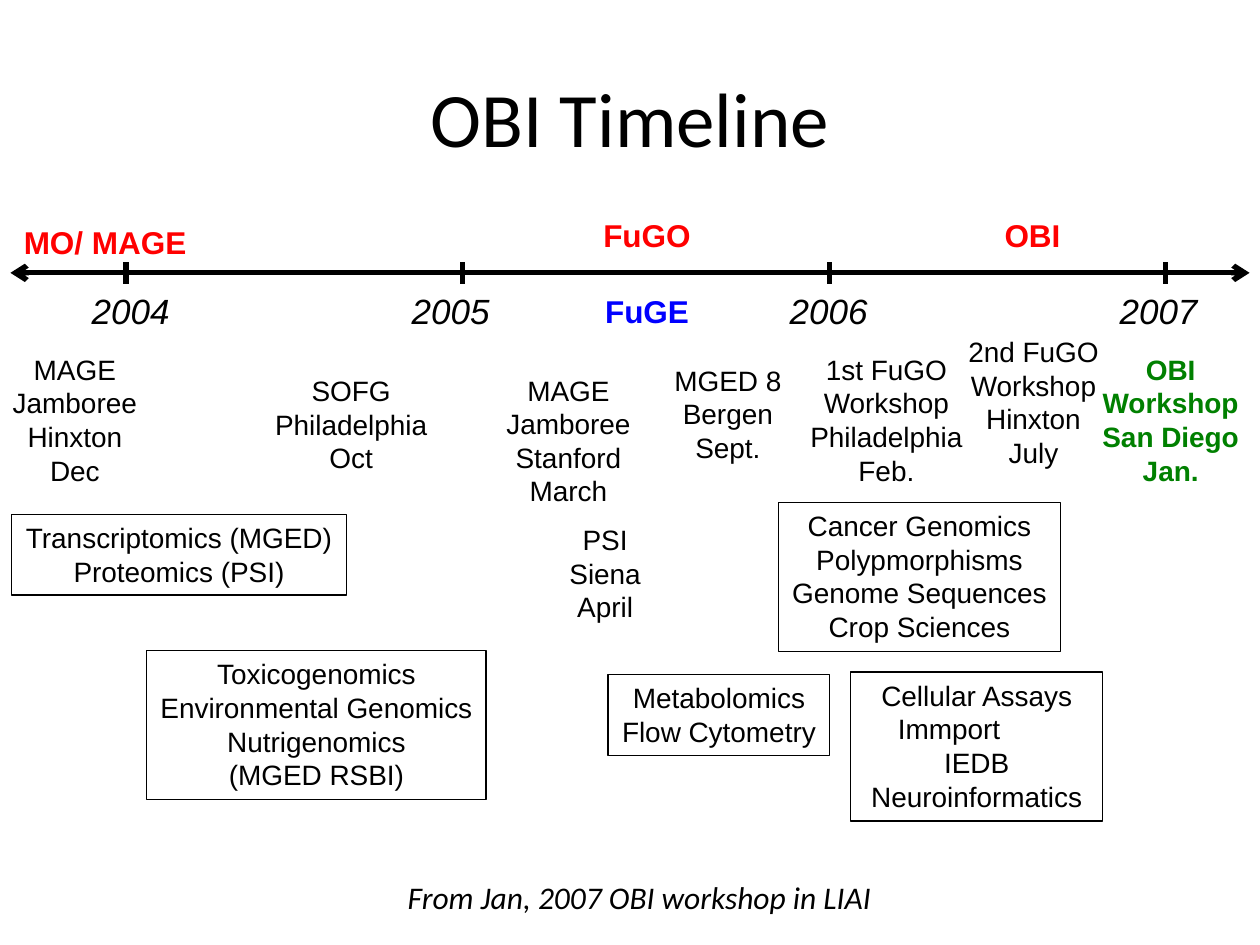
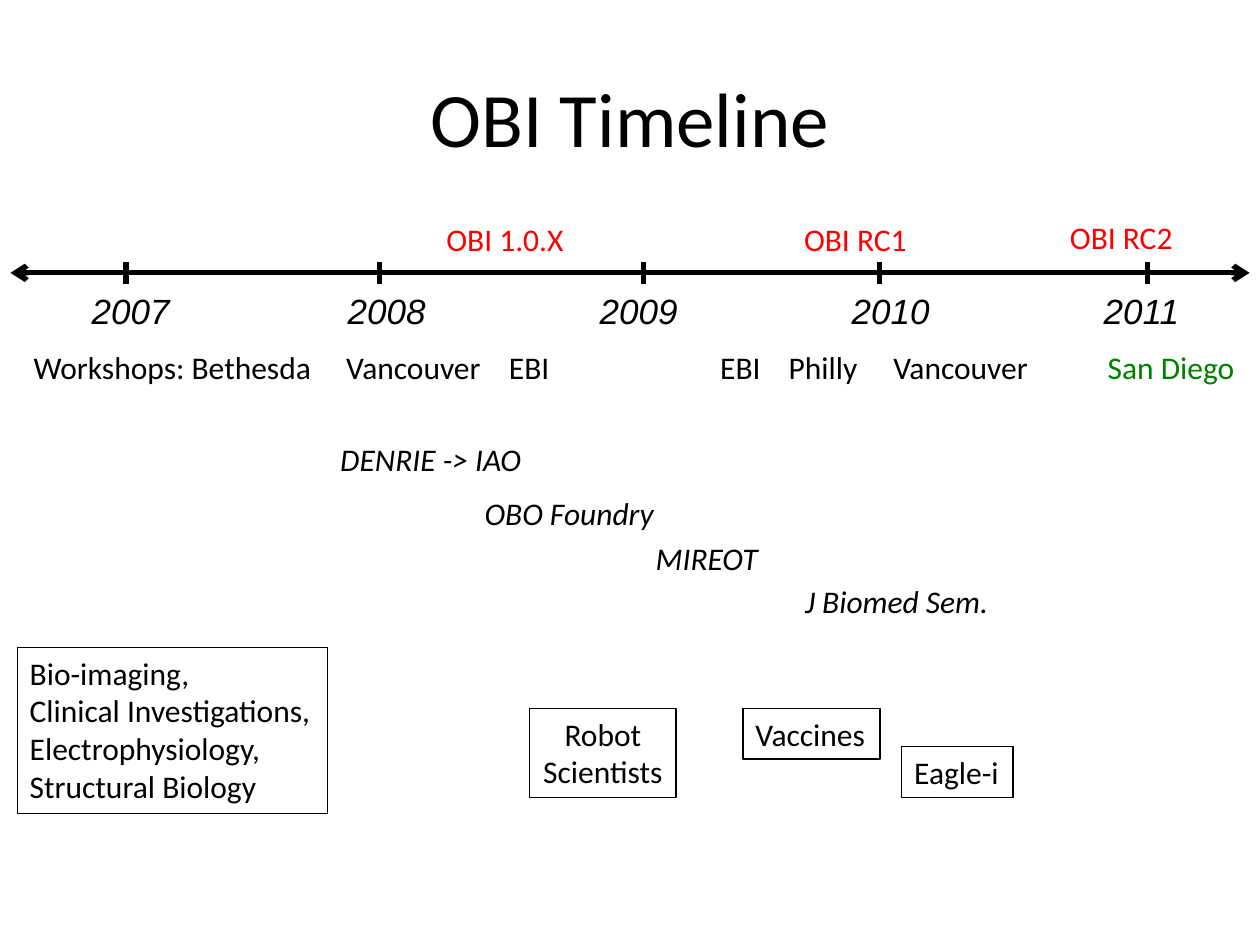
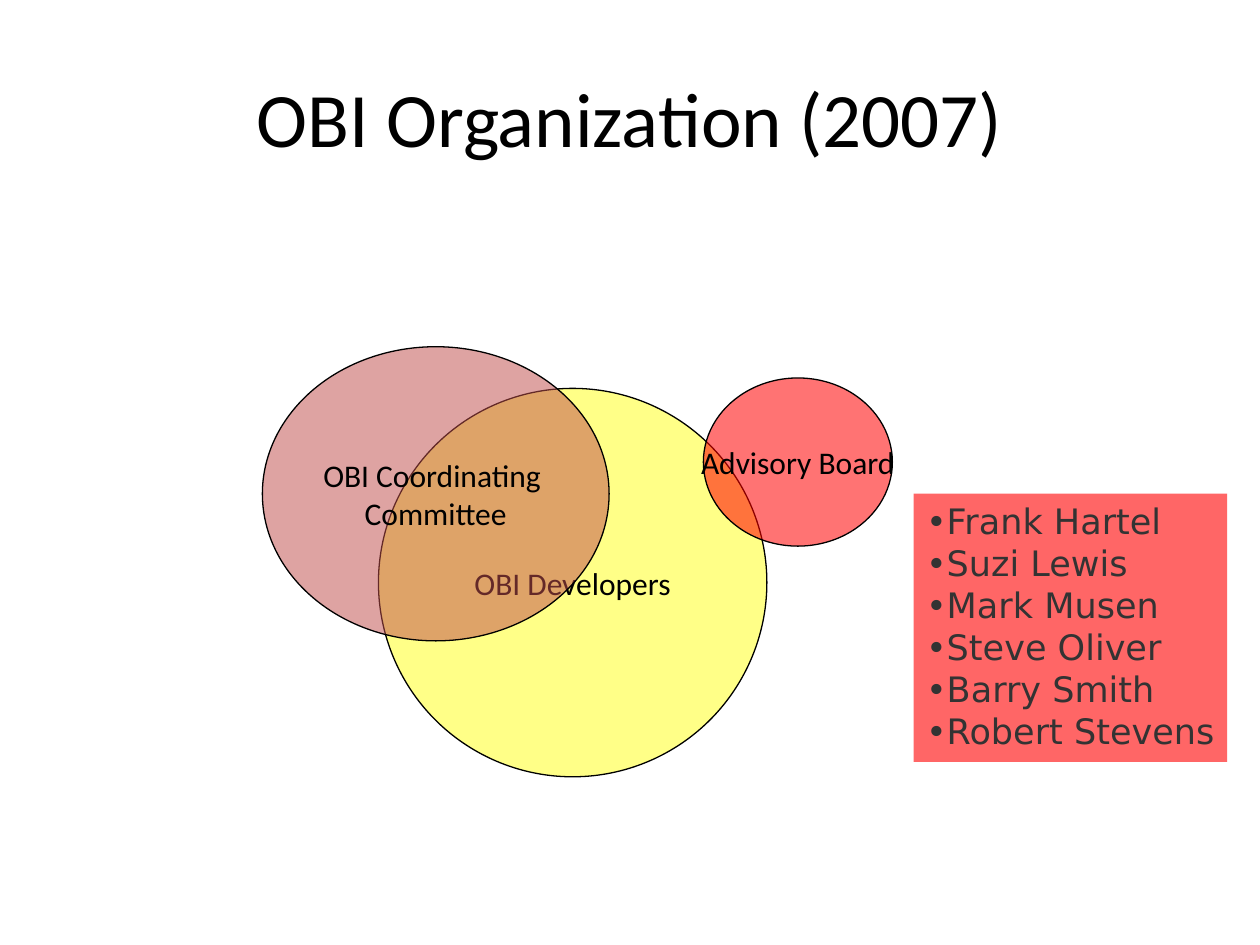
from dataclasses import dataclass, field
from lxml import etree
from pptx import Presentation
from pptx import util as u
from pptx.dml.color import RGBColor
from pptx.enum import shapes, text
from pptx.oxml import ns

Cm, Pt = u.Cm, u.Pt


@dataclass
class Theme:
    colours: dict = field(default_factory=lambda: dict(
        ink="000000", red="FF0000", blue="0000FF", green="008000",
        yellow="FFFF00", brick="C0504D", coral="FF6666", grey="333333"))
    styles: dict = field(default_factory=lambda: dict(
        title=dict(name="Calibri", size=44, anchor="MIDDLE", fit=False, wrap=True),
        year=dict(size=20, italic=True, align="LEFT", wrap=True),
        event=dict(),
        meeting=dict(bold=True, colour="green", wrap=True),
        box=dict(line="ink"),
        wide_box=dict(line="ink", wrap=True),
        milestone=dict(size=18, bold=True, colour="red"),
        release=dict(name="Calibri", size=18, colour="red", align="LEFT"),
        note=dict(name="Calibri", size=18, italic=True, align="LEFT"),
        row=dict(name="Calibri", size=18, align="LEFT", wrap=True),
        topic=dict(name="Calibri", size=18, align="LEFT", line="ink"),
        pair=dict(name="Calibri", size=18, line="ink"),
        circle=dict(name="Calibri", size=18, line="ink", anchor="MIDDLE",
                    fit=False, shape="OVAL"),
        people=dict(name="DejaVu Sans", size=20, colour="grey", fill="coral",
                    align="LEFT")))
    base: dict = field(default_factory=lambda: dict(
        name="Arial", size=16, bold=False, italic=False, colour="ink",
        align="CENTER", anchor="TOP", wrap=False, fit=True, line=None,
        fill=None, shape="RECTANGLE"))

    def colour(self, key):
        return RGBColor.from_string(self.colours[key])

    def style(self, key):
        return {**self.base, **self.styles[key]}


THEME = Theme()

TIMELINES = [
    dict(
        title="OBI Timeline",
        years=["2004", "2005", "2006", "2007"],
        year_stops=[1.17, 7.62, 15.24, 21.89],
        ticks=[2.54, 9.32, 16.72, 23.5],
        labels=[
            ("milestone", 0.23, 4.37, 3.78, ["MO/ MAGE"]),
            ("milestone", 11.9, 4.24, 2.29,
             ["FuGO", ("FuGE", dict(colour="blue", before=21.5))]),
            ("milestone", 19.99, 4.24, 1.65, ["OBI"]),
            ("event", 0, 6.98, 3.02, ["MAGE", "Jamboree", "Hinxton", "Dec"]),
            ("event", 5.29, 7.41, 3.58, ["SOFG", "Philadelphia", "Oct"]),
            ("event", 9.95, 7.4, 3.02, ["MAGE", "Jamboree", "Stanford", "March"]),
            ("event", 11.22, 10.41, 1.96, ["PSI", "Siena", "April"]),
            ("event", 13.34, 7.2, 2.67, ["MGED 8", "Bergen", "Sept."]),
            ("event", 16.08, 6.98, 3.58,
             ["1st FuGO", "Workshop", "Philadelphia", "Feb."]),
            ("event", 19.26, 6.62, 3.15,
             ["2nd FuGO", "Workshop", "Hinxton", "July"]),
            ("meeting", 21.8, 6.98, 3.6, ["OBI Workshop San Diego Jan."]),
            ("box", 0.23, 10.37, 6.76,
             ["Transcriptomics (MGED)", "Proteomics (PSI)"]),
            ("box", 2.96, 13.12, 6.84,
             ["Toxicogenomics", "Environmental Genomics", "Nutrigenomics",
              "(MGED RSBI)"]),
            ("box", 12.26, 13.6, 4.47, ["Metabolomics", "Flow Cytometry"]),
            ("box", 15.69, 10.13, 5.69,
             ["Cancer Genomics", "Polypmorphisms", "Genome Sequences",
              "Crop Sciences"]),
            ("wide_box", 17.15, 13.55, 5.08,
             ["Cellular Assays", ("Immport", dict(indent=0.7, align="LEFT")),
              "IEDB", "Neuroinformatics"]),
            ("note", 7.97, 17.58, 10.11, ["From Jan, 2007 OBI workshop in LIAI"]),
        ]),
    dict(
        title="OBI Timeline",
        years=["2007", "2008", "2009", "2010", "2011"],
        year_stops=[1.17] + [6.33 + 5.08 * i for i in range(4)],
        ticks=[2.54, 7.65, 12.97, 17.73, 23.13],
        labels=[
            ("release", 8.75, 4.32, 2.9, ["OBI 1.0.X"]),
            ("release", 15.96, 4.32, 2.59, ["OBI RC1"]),
            ("release", 21.32, 4.27, 2.59, ["OBI RC2"]),
            ("row", 0.43, 6.9, 24.77,
             [("Workshops: Bethesda\tVancouver\tEBI\tEBI\tPhilly\tVancouver",
               dict(tail="\tSan Diego", tail_colour="green",
                    stops=[6.3, 9.58, 13.84, 15.22, 17.33, 21.65]))]),
            ("note", 6.61, 8.74, 4.34, ["DENRIE -> IAO"]),
            ("note", 9.52, 9.83, 4.11, ["OBO Foundry"]),
            ("note", 12.97, 10.74, 2.74, ["MIREOT"]),
            ("note", 15.98, 11.61, 4.39, ["J Biomed Sem."]),
            ("topic", 0.35, 13.05, 6.25,
             ["Bio-imaging,", "Clinical Investigations,", "Electrophysiology,",
              "Structural Biology"]),
            ("pair", 10.68, 14.28, 2.95, ["Robot", "Scientists"]),
            ("topic", 14.98, 14.28, 2.76, ["Vaccines"]),
            ("topic", 18.18, 15.05, 2.24, ["Eagle-i"]),
        ]),
]

ORGANIZATION = dict(
    title="OBI Organization (2007)",
    circles=[
        (7.63, 7.83, 7.83, 7.83, "yellow", 47, ["OBI Developers"]),
        (14.18, 7.62, 3.81, 3.39, "red", 55, ["Advisory Board"]),
        (5.29, 6.99, 6.99, 5.93, "brick", 52, ["OBI Coordinating ", "Committee"]),
    ],
    board=["•Frank Hartel", "•Suzi Lewis", "•Mark Musen", "•Steve Oliver",
           "•Barry Smith", "•Robert Stevens"])


def sub(parent, tag, **attrs):
    return etree.SubElement(parent, ns.qn(tag), attrs)


def add_run(p, words, st, colour):
    r = p.add_run()
    r.text = words
    fmt = dict(name=st["name"], size=Pt(st["size"]), bold=st["bold"],
               italic=st["italic"])
    for key, value in fmt.items():
        setattr(r.font, key, value)
    r.font.color.rgb = THEME.colour(colour)


def add_line(p, line, st):
    words, opts = (line, {}) if isinstance(line, str) else line
    p.alignment = getattr(text.PP_ALIGN, opts.get("align", st["align"]))
    if "before" in opts:
        p.space_before = Pt(opts["before"])
    pPr = p._p.get_or_add_pPr()
    if "indent" in opts:
        pPr.set("marL", str(Cm(opts["indent"])))
        pPr.set("indent", "0")
    if "stops" in opts:
        tabs = sub(pPr, "a:tabLst")
        for stop in opts["stops"]:
            sub(tabs, "a:tab", pos=str(Cm(stop)), algn="l")
    add_run(p, words, st, opts.get("colour", st["colour"]))
    if "tail" in opts:
        add_run(p, opts["tail"], st, opts["tail_colour"])


def add_label(s, style, x, y, w, lines, h=None, fill=None, alpha=None):
    st = THEME.style(style)
    fill = fill or st["fill"]
    h = h or 0.25 + 0.043 * st["size"] * len(lines)
    box = [Cm(v) for v in (x, y, w, h)]
    if st["line"] or fill:
        sp = s.shapes.add_shape(getattr(shapes.MSO_SHAPE, st["shape"]), *box)
        sp.shadow.inherit = False
        if fill:
            sp.fill.solid()
            sp.fill.fore_color.rgb = THEME.colour(fill)
        else:
            sp.fill.background()
        if st["line"]:
            sp.line.color.rgb = THEME.colour(st["line"])
            sp.line.width = Pt(0.75)
        else:
            sp.line.fill.background()
        if alpha:
            clr = sp._element.spPr.find(".//" + ns.qn("a:srgbClr"))
            sub(clr, "a:alpha", val=str(alpha * 1000))
    else:
        sp = s.shapes.add_textbox(*box)
    tf = sp.text_frame
    fit = text.MSO_AUTO_SIZE
    fmt = dict(word_wrap=st["wrap"],
               vertical_anchor=getattr(text.MSO_ANCHOR, st["anchor"]),
               auto_size=fit.SHAPE_TO_FIT_TEXT if st["fit"] else fit.NONE)
    for key, value in fmt.items():
        setattr(tf, key, value)
    for i, line in enumerate(lines):
        add_line(tf.add_paragraph() if i else tf.paragraphs[0], line, st)


def add_rule(s, x1, y1, x2, y2, arrows=False):
    c = s.shapes.add_connector(shapes.MSO_CONNECTOR.STRAIGHT,
                               Cm(x1), Cm(y1), Cm(x2), Cm(y2))
    c.line.color.rgb = THEME.colour("ink")
    c.line.width = Pt(3)
    if arrows:
        ln = c.line._get_or_add_ln()
        for end in ("a:headEnd", "a:tailEnd"):
            sub(ln, end, type="arrow")
    sub(c._element.spPr, "a:effectLst")


def new_slide(prs, title):
    s = prs.slides.add_slide(prs.slide_layouts[6])
    add_label(s, "title", 1.27, 0.76, 22.86, [title], h=3.18)
    return s


def add_timeline(prs, t):
    s = new_slide(prs, t["title"])
    add_rule(s, 0.21, 5.5, 25.19, 5.5, arrows=True)
    for x in t["ticks"]:
        add_rule(s, x, 5.29, x, 5.72)
    years = "".join("\t" + year for year in t["years"])
    add_label(s, "year", 0.43, 5.72, 24.97,
              [(years, dict(stops=t["year_stops"]))])
    for label in t["labels"]:
        add_label(s, *label)


def add_organization(prs, o):
    s = new_slide(prs, o["title"])
    for x, y, w, h, fill, alpha, lines in o["circles"]:
        add_label(s, "circle", x, y, w, lines, h=h, fill=fill, alpha=alpha)
    add_label(s, "people", 18.42, 9.95, 6.32, o["board"])


def main():
    prs = Presentation()
    prs.slide_width, prs.slide_height = Cm(25.4), Cm(19.05)
    for timeline in TIMELINES:
        add_timeline(prs, timeline)
    add_organization(prs, ORGANIZATION)
    prs.save("out.pptx")


if __name__ == "__main__":
    main()
